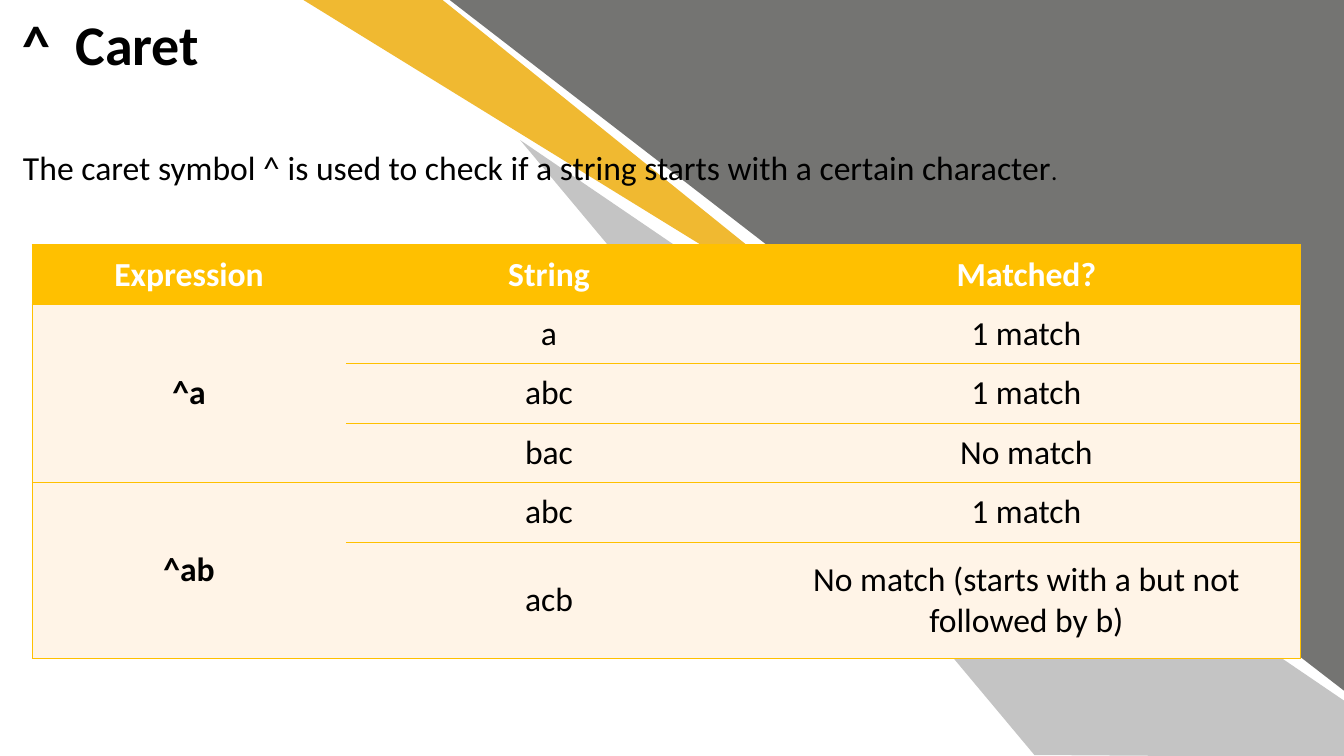
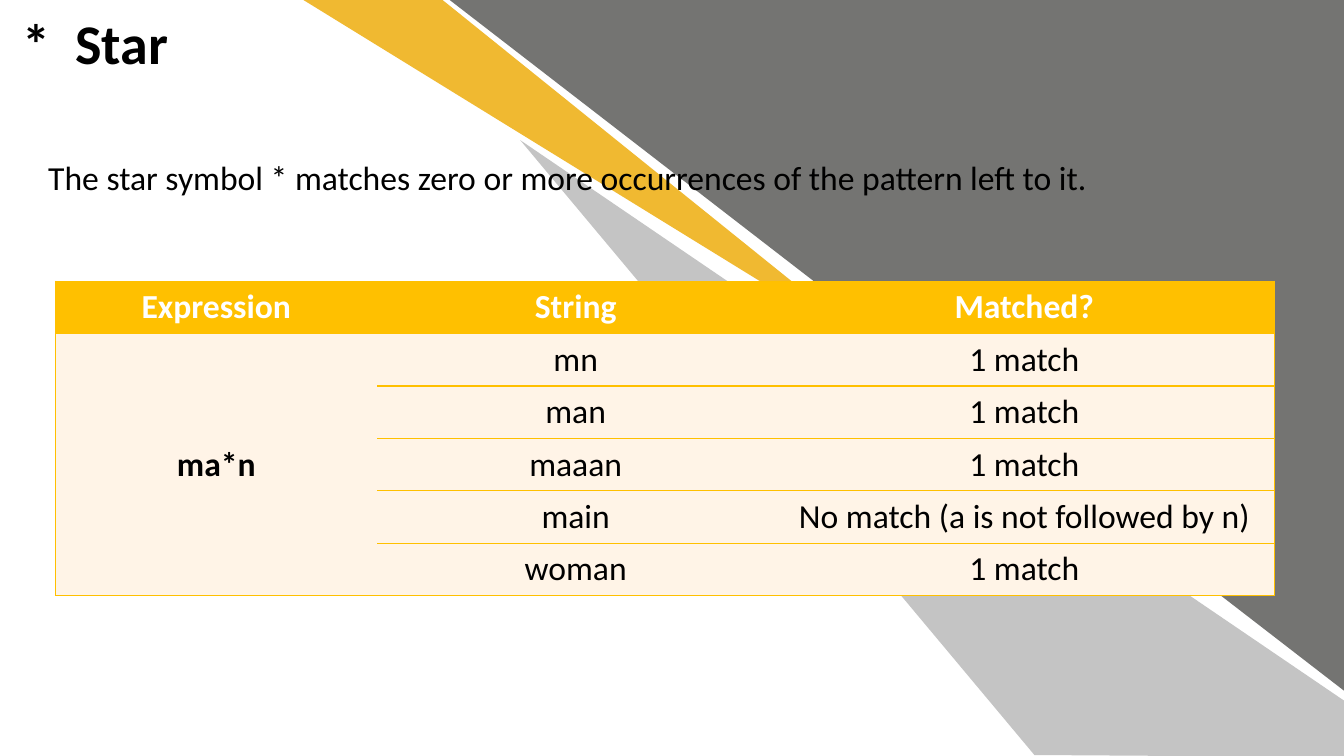
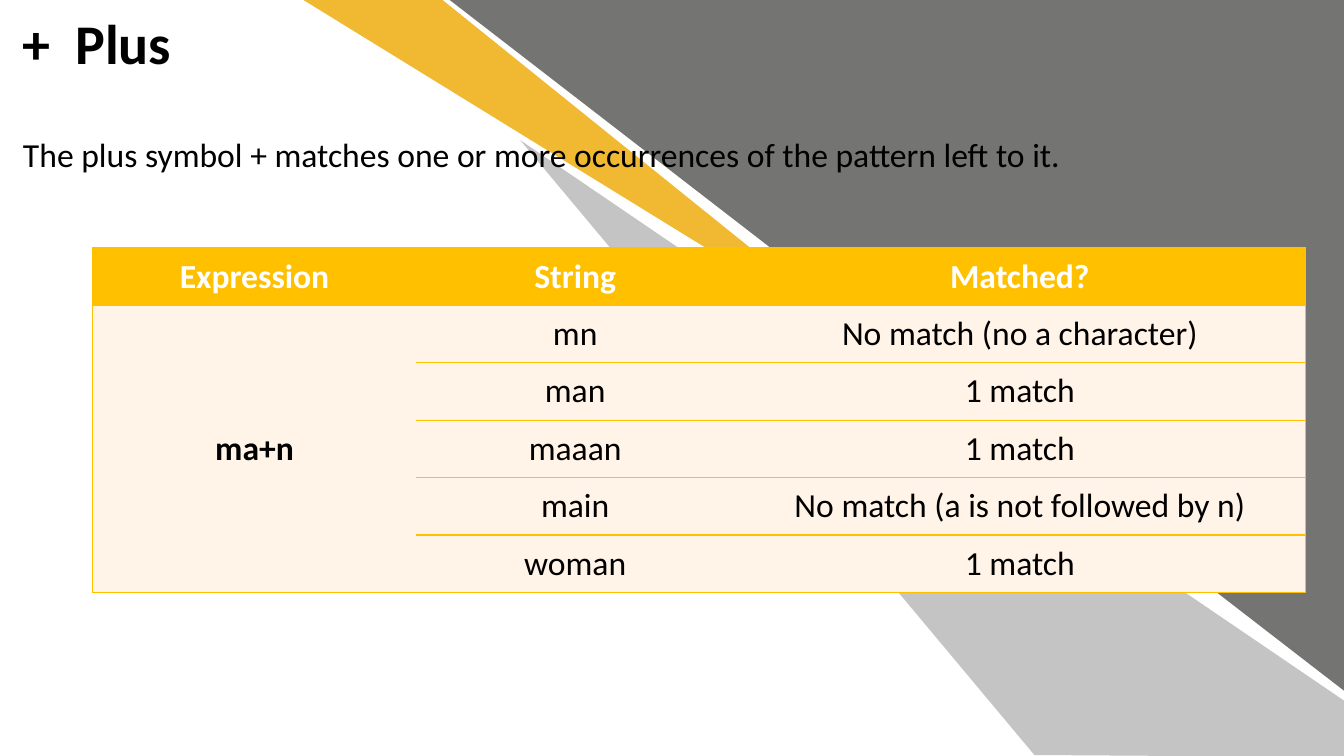
from lxml import etree
from pptx import Presentation
from pptx.dml.color import RGBColor
from pptx.enum.shapes import MSO_SHAPE
from pptx.enum.text import MSO_ANCHOR, PP_ALIGN
from pptx.oxml.ns import qn
from pptx.util import Inches, Pt

TRI = MSO_SHAPE.RIGHT_TRIANGLE
MID = MSO_ANCHOR.MIDDLE
CENTER = PP_ALIGN.CENTER

INK = {
    "black": "000000", "white": "FFFFFF", "dark": "747472",
    "gray": "C4C4C4", "gold": "F0B931", "amber": "FFC000", "cream": "FFF4E7",
}
FONT = "Calibri"
HEAD = ("Expression", "String", "Matched?")
GRAY_BAND = [(10.26, 7.49), (5.16, 1.39), (13.33, 6.95), (13.33, 7.51)]
GOLD_BAND = [(3.01, 0), (4.39, 0), (8.87, 3.61)]

SLIDES = [
    dict(
        title="^\tCaret", tall=1.45,
        text=[("The caret symbol ^ is used to check if a string starts "
               "with a certain character", 24), (".", 18)],
        box=(0.13, 1.41, 12.46, 0.5),
        at=(0.32, 2.43), cols=(3.11, 4.03, 5.44), high=[0.59] * 5 + [1.15],
        groups=[
            ("^a", [("a", "1 match"), ("abc", "1 match"), ("bac", "No match")]),
            ("^ab", [("abc", "1 match"),
                     ("acb", "No match (starts with a but not followed by b)")]),
        ],
    ),
    dict(
        title="*\tStar", tall=0.77,
        text=[("The star symbol * matches zero or more occurrences "
               "of the pattern left to it.", 24)],
        box=(0.38, 1.51, 11.1, 0.5),
        at=(0.55, 2.79), cols=(3.19, 3.94, 4.96), high=[0.52] * 6,
        groups=[
            ("ma*n", [("mn", "1 match"), ("man", "1 match"), ("maaan", "1 match"),
                      ("main", "No match (a is not followed by n)"),
                      ("woman", "1 match")]),
        ],
    ),
    dict(
        title="+\tPlus", tall=0.77,
        text=[("The plus symbol + matches one or more occurrences "
               "of the pattern left to it.", 24)],
        box=(0.13, 1.28, 12.14, 0.5),
        at=(0.92, 2.46), cols=(3.21, 3.15, 5.67), high=[0.57] * 6,
        groups=[
            ("ma+n", [("mn", "No match (no a character)"), ("man", "1 match"),
                      ("maaan", "1 match"),
                      ("main", "No match (a is not followed by n)"),
                      ("woman", "1 match")]),
        ],
    ),
]


def color(name):
    return RGBColor.from_string(INK[name])


class Deck:
    def __init__(self):
        self.prs = Presentation()
        self.prs.slide_width = Inches(13.33)
        self.prs.slide_height = Inches(7.5)

    def page(self):
        self.slide = self.prs.slides.add_slide(self.prs.slide_layouts[6])
        self.shapes = self.slide.shapes
        back = self.slide.background.fill
        back.solid()
        back.fore_color.rgb = color("white")
        wedge = self.shapes.add_shape(TRI, *map(Inches, (4.46, 0, 8.88, 6.86)))
        wedge.rotation = 180
        self.paint(wedge, "dark")
        self.band(GRAY_BAND, "gray")
        self.band(GOLD_BAND, "gold")

    def paint(self, shape, ink):
        shape.shadow.inherit = False
        shape.fill.solid()
        shape.fill.fore_color.rgb = color(ink)
        shape.line.fill.background()

    def band(self, points, ink):
        spots = [(Inches(x), Inches(y)) for x, y in points]
        pen = self.shapes.build_freeform(*spots[0])
        pen.add_line_segments(spots[1:], close=True)
        self.paint(pen.convert_to_shape(), ink)

    def run(self, para, text, size=24, ink="black", bold=False):
        run = para.add_run()
        run.text = text
        font = run.font
        font.name, font.size, font.bold = FONT, Pt(size), bold
        font.color.rgb = color(ink)

    def text(self, box):
        frame = self.shapes.add_textbox(*map(Inches, box)).text_frame
        frame.word_wrap = True
        return frame.paragraphs[0]

    def title(self, text, tall):
        para = self.text((0.13, 0.04, 7.16, tall))
        tabs = etree.SubElement(para._p.get_or_add_pPr(), qn("a:tabLst"))
        etree.SubElement(tabs, qn("a:tab"), pos=str(Inches(0.52)), algn="l")
        self.run(para, text, 40, bold=True)

    def body(self, runs, box):
        para = self.text(box)
        for text, size in runs:
            self.run(para, text, size)

    def edges(self, cell, shown):
        props = cell._tc.get_or_add_tcPr()
        for side in "LRTB":
            line = etree.SubElement(props, qn("a:ln" + side), w=str(Pt(1)))
            if side in shown:
                fill = etree.SubElement(line, qn("a:solidFill"))
                etree.SubElement(fill, qn("a:srgbClr"), val=INK["amber"])
            else:
                etree.SubElement(line, qn("a:noFill"))

    def cell(self, cell, text, col, head):
        self.edges(cell, "TB" + {0: "L", 2: "R"}.get(col, ""))
        cell.fill.solid()
        cell.fill.fore_color.rgb = color("amber" if head else "cream")
        cell.margin_left = cell.margin_right = Inches(0.01)
        cell.margin_top = cell.margin_bottom = Inches(0.01)
        cell.vertical_anchor = MID
        para = cell.text_frame.paragraphs[0]
        para.alignment = CENTER
        if text:
            self.run(para, text, ink="white" if head else "black",
                     bold=head or col == 0)

    def table(self, at, cols, high, groups):
        size = (sum(cols), sum(high))
        grid = self.shapes.add_table(len(high), len(cols),
                                     *map(Inches, at + size)).table
        for col, wide in zip(grid.columns, cols):
            col.width = Inches(wide)
        for row, tall in zip(grid.rows, high):
            row.height = Inches(tall)
        rows = [HEAD]
        for name, tests in groups:
            top = len(rows)
            rows += [("" if i else name, *test) for i, test in enumerate(tests)]
            grid.cell(top, 0).merge(grid.cell(len(rows) - 1, 0))
        for r, row in enumerate(rows):
            for c, text in enumerate(row):
                self.cell(grid.cell(r, c), text, c, r == 0)


def main():
    deck = Deck()
    for item in SLIDES:
        deck.page()
        deck.title(item["title"], item["tall"])
        deck.body(item["text"], item["box"])
        deck.table(item["at"], item["cols"], item["high"], item["groups"])
    deck.prs.save("out.pptx")


if __name__ == "__main__":
    main()
